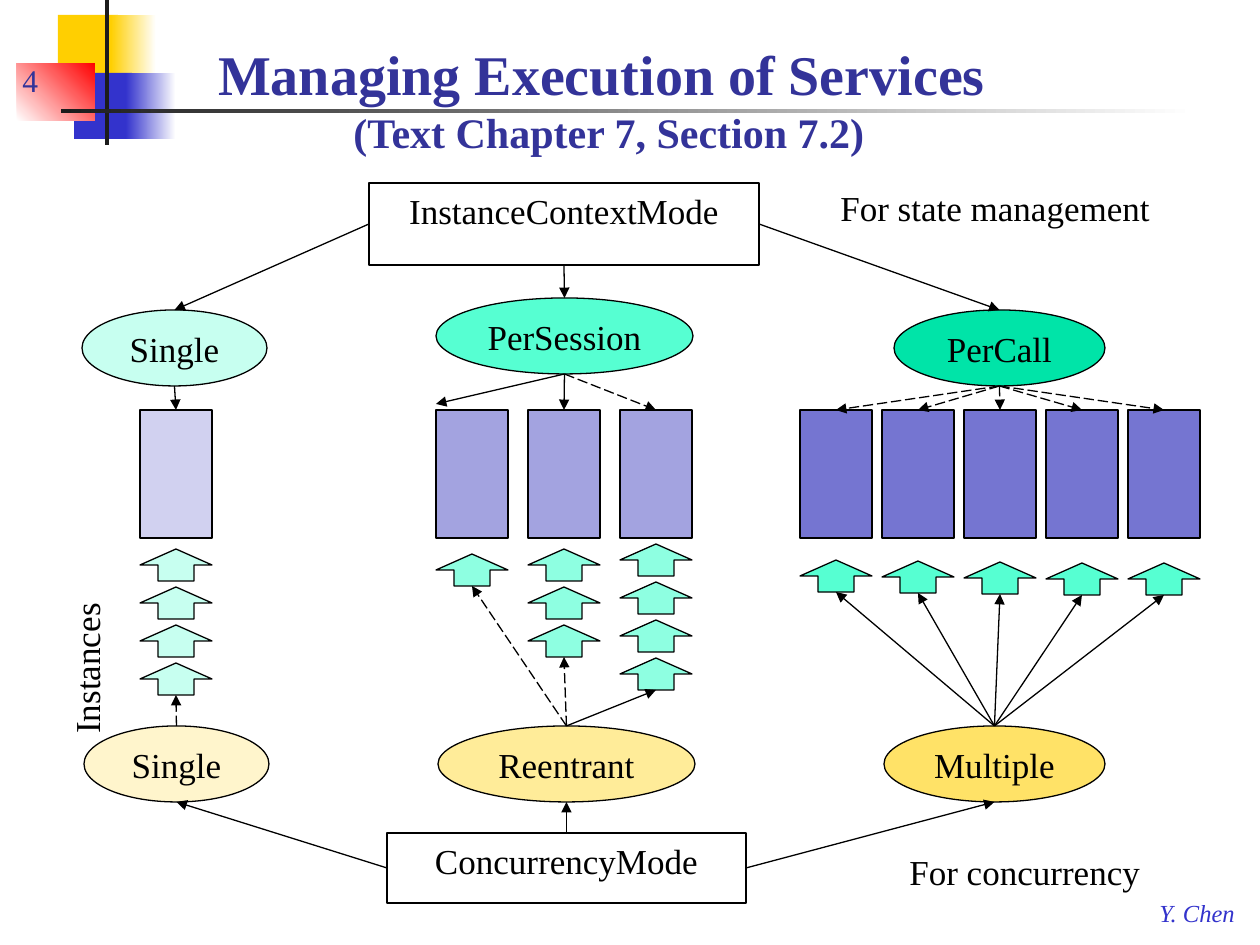
from lxml import etree
from pptx import Presentation
from pptx import util as u
from pptx.dml.color import RGBColor
from pptx.enum import dml, shapes, text
from pptx.oxml.ns import qn

PX = 7257  # EMU per pixel, 126 pixels to the inch
FONT = "Times New Roman"
TOP, LEFT, BOTTOM, RIGHT = range(4)
color = RGBColor.from_string
Kind = shapes.MSO_SHAPE

presentation = Presentation()
presentation.slide_width, presentation.slide_height = u.Inches(10), u.Inches(7.5)
slide = presentation.slides.add_slide(presentation.slide_layouts[5])


def add_box(kind, left, top, width, height, fill, label="", outlined=True):
    shape = slide.shapes.add_shape(kind, left * PX, top * PX, width * PX, height * PX)
    shape.shadow.inherit = False
    shape.fill.solid()
    shape.fill.fore_color.rgb = color(fill)
    if outlined:
        shape.line.color.rgb = color("000000")
        shape.line.width = u.Pt(0.75)
    else:
        shape.line.fill.background()
    if label:
        shape.text_frame.vertical_anchor = text.MSO_ANCHOR.TOP
        paragraph = shape.text_frame.paragraphs[0]
        paragraph.text = label
        paragraph.alignment = text.PP_ALIGN.CENTER
        paragraph.font.name, paragraph.font.size = FONT, u.Pt(20)
        paragraph.font.color.rgb = color("000000")
    return shape


def add_arrow(begin, end, dashed=False):
    """Each end is a (shape, side) pair or an (x, y) point in pixels."""
    points = []
    for target, side in (begin, end):
        if isinstance(target, int):
            points += [target * PX, side * PX]
        else:
            across = {LEFT: 0, RIGHT: 2}.get(side, 1)
            down = {TOP: 0, BOTTOM: 2}.get(side, 1)
            points += [target.left + target.width * across // 2,
                       target.top + target.height * down // 2]
    arrow = slide.shapes.add_connector(shapes.MSO_CONNECTOR.STRAIGHT, *points)
    for (target, side), connect in ((begin, arrow.begin_connect), (end, arrow.end_connect)):
        # An ellipse numbers its sides differently below the top
        if not isinstance(target, int) and (
                side == TOP or target.auto_shape_type != Kind.OVAL):
            connect(target, side)
    arrow.line.color.rgb = color("000000")
    arrow.line.width = u.Pt(0.75)
    if dashed:
        arrow.line.dash_style = dml.MSO_LINE.LONG_DASH
    etree.SubElement(arrow.line._get_or_add_ln(), qn("a:tailEnd"), type="triangle")
    etree.SubElement(arrow._element.spPr, qn("a:effectLst"))


# Corner decoration: left, top, width, height, colours, gradient angle
decoration = [
    (58, 15, 60, 66, ["FFCF01"], 0),
    (111, 15, 45, 66, ["FFCF01", "FFFFFF"], 0),
    (74, 73, 58, 66, ["3333CC"], 0),
    (126, 73, 50, 66, ["3333CC", "FFFFFF"], 0),
    (17, 63, 78, 58, ["FFFFFF", "FF0000"], 45),
    (105, 0, 4, 145, ["1C1C1C"], 0),
    (61, 109, 1134, 4, ["1C1C1C", "FFFFFF"], 0),
]
for left, top, width, height, fills, angle in decoration:
    shape = add_box(Kind.RECTANGLE, left, top, width, height, fills[0], outlined=False)
    if len(fills) == 2:
        shape.fill.gradient()
        shape.fill.gradient_angle = angle
        for stop, fill in zip(shape.fill.gradient_stops, fills):
            stop.color.rgb = color(fill)

# Title, in front of the decoration
title = slide.shapes.title
slide.shapes._spTree.append(title._element)
title.left, title.top, title.width, title.height = 84 * PX, 29 * PX, 1050 * PX, 134 * PX
title.text_frame.auto_size = text.MSO_AUTO_SIZE.NONE
title.text_frame.vertical_anchor = text.MSO_ANCHOR.BOTTOM
paragraph = title.text_frame.paragraphs[0]
paragraph.alignment = text.PP_ALIGN.CENTER
paragraph.font.name, paragraph.font.bold = FONT, True
paragraph.font.color.rgb = color("333399")
for line, size in (("Managing Execution of Services ", 32), ("(Text Chapter 7, Section 7.2)", 24)):
    if paragraph.runs:
        paragraph.add_line_break()
    run = paragraph.add_run()
    run.text = line
    run.font.size = u.Pt(size)

# Free text: left, top, width, height, size, colour
labels = {
    "4": (10, 42, 105, 63, 18, "333399"),
    "Y. Chen": (1147, 892, 103, 42, 14, "3333CC"),
    "Instances": (59, 557, 68, 223, 20, "000000"),
    "For state management": (828, 180, 352, 56, 20, "000000"),
    "For concurrency": (897, 844, 282, 56, 20, "000000"),
}
for label, (left, top, width, height, size, fill) in labels.items():
    box = slide.shapes.add_textbox(left * PX, top * PX, width * PX, height * PX)
    frame = box.text_frame
    frame.word_wrap = label != "Y. Chen"
    paragraph = frame.paragraphs[0]
    paragraph.text = label
    paragraph.font.name, paragraph.font.size = FONT, u.Pt(size)
    paragraph.font.color.rgb = color(fill)
    if label == "4":
        frame.vertical_anchor = text.MSO_ANCHOR.BOTTOM
    elif label == "Y. Chen":
        paragraph.font.italic = True
    elif label == "Instances":
        paragraph.alignment = text.PP_ALIGN.CENTER
        frame._txBody.bodyPr.set("vert", "vert270")

# The two modes and their values
instance_mode = add_box(Kind.RECTANGLE, 369, 183, 390, 82, "FFFFFF", "InstanceContextMode")
concurrency_mode = add_box(Kind.RECTANGLE, 387, 833, 359, 70, "FFFFFF", "ConcurrencyMode")
single = add_box(Kind.OVAL, 82, 310, 185, 76, "C7FFF0", "Single")
per_session = add_box(Kind.OVAL, 436, 298, 257, 76, "56FFD2", "PerSession")
per_call = add_box(Kind.OVAL, 894, 310, 211, 76, "00E4A8", "PerCall")
single_thread = add_box(Kind.OVAL, 84, 726, 185, 76, "FFF5CC", "Single")
reentrant = add_box(Kind.OVAL, 438, 726, 257, 76, "FFEC99", "Reentrant")
multiple = add_box(Kind.OVAL, 884, 726, 221, 76, "FFE267", "Multiple")

for side, upper, lower in ((LEFT, single, single_thread), (RIGHT, per_call, multiple)):
    add_arrow((instance_mode, side), (upper, TOP))
    add_arrow((concurrency_mode, side), (lower, BOTTOM))
add_arrow((instance_mode, BOTTOM), (per_session, TOP))
add_arrow((concurrency_mode, TOP), (reentrant, BOTTOM))

# Instance columns: upper and lower ellipse, left, pitch, box and call fills,
# then per column: top of first call, number of calls, dashed above, dashed below
groups = [
    (single, single_thread, 140, 0, "D1D1F0", "C7FFF0", [(549, 4, False, True)]),
    (per_session, reentrant, 436, 92, "A3A3E0", "8EFFE1",
     [(554, 1, False, True), (549, 3, False, True), (544, 4, True, False)]),
    (per_call, multiple, 800, 82, "7575D1", "56FFD2",
     [(top, 1, True, False) for top in (560, 561, 562, 563, 563)]),
]
for upper, lower, start, pitch, box_fill, call_fill, columns in groups:
    for index, (top, count, dashed_above, dashed_below) in enumerate(columns):
        left = start + index * pitch
        instance = add_box(Kind.RECTANGLE, left, 410, 72, 128, box_fill)
        for row in range(count):
            call = add_box(Kind.UP_ARROW, left, top + 38 * row, 72, 32, call_fill)
        # The first session arrow stops just above its column's corner
        first_session = upper is per_session and index == 0
        add_arrow((upper, BOTTOM), (left, 404) if first_session else (instance, TOP), dashed_above)
        add_arrow((lower, TOP), (call, BOTTOM), dashed_below)

presentation.save("out.pptx")
